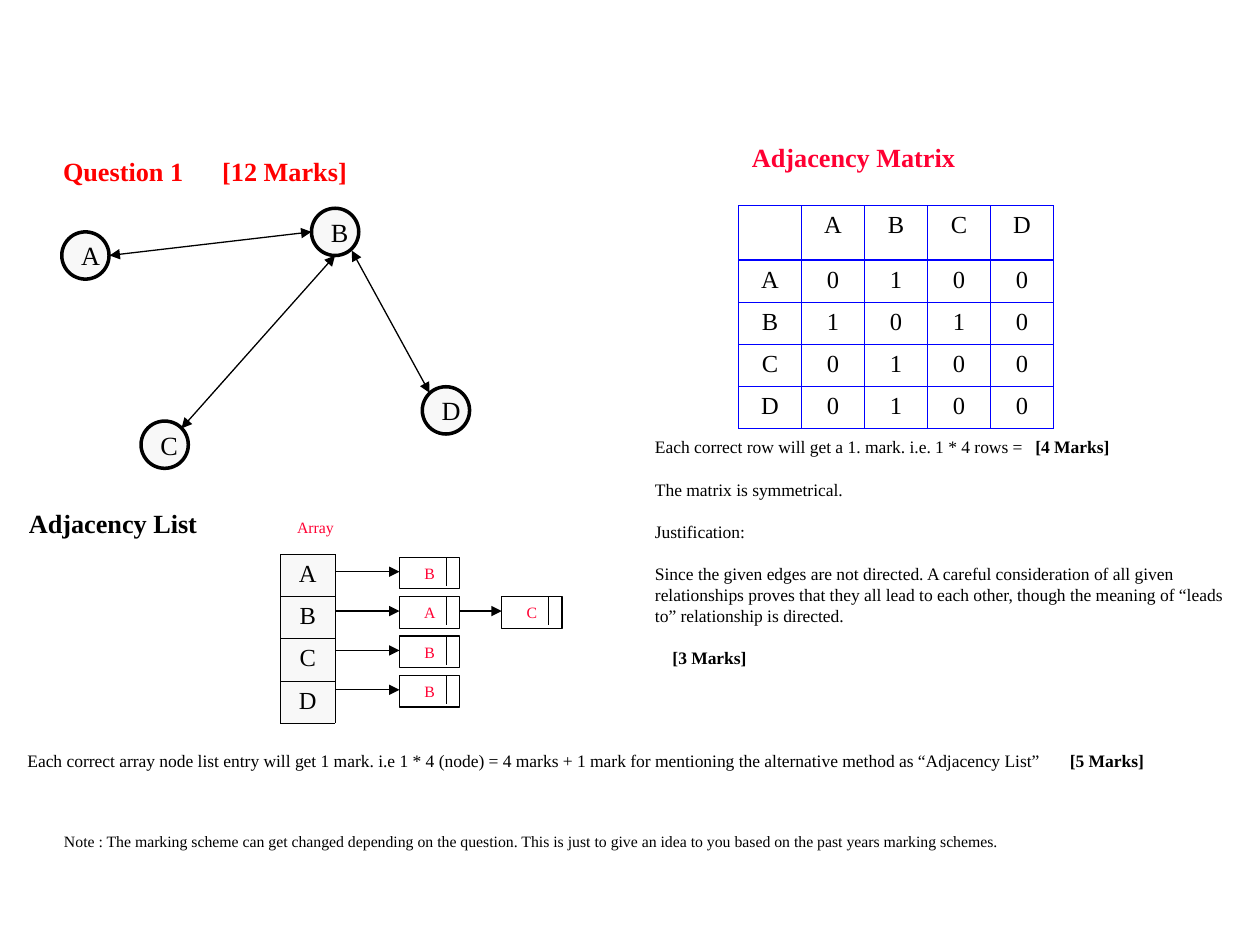
from dataclasses import dataclass

from lxml.etree import SubElement
from pptx import Presentation
from pptx.dml.color import RGBColor
from pptx.enum.shapes import MSO_CONNECTOR, MSO_SHAPE
from pptx.enum.text import MSO_ANCHOR, MSO_AUTO_SIZE, PP_ALIGN
from pptx.oxml.ns import qn
from pptx.util import Pt


@dataclass(frozen=True)
class Theme:
    font: str = "Times New Roman"
    ink: RGBColor = RGBColor(0, 0, 0)
    title: RGBColor = RGBColor(0xFF, 0, 0)
    accent: RGBColor = RGBColor(0xFF, 0, 0x33)
    grid: RGBColor = RGBColor(0, 0, 0xFF)
    pale: RGBColor = RGBColor(0xF8, 0xF8, 0xF8)
    heading: int = 15
    cell: int = 14
    body: int = 10
    small: int = 9


theme = Theme()
deck = Presentation()
deck.slide_width, deck.slide_height = Pt(720), Pt(540)
slide = deck.slides.add_slide(deck.slide_layouts[5])
shapes = slide.shapes


def write(para, text, size, color=theme.ink, bold=False, align=PP_ALIGN.LEFT, tab=None, marks=""):
    para.alignment = align
    if tab:
        stops = SubElement(para._p.get_or_add_pPr(), qn("a:tabLst"))
        SubElement(stops, qn("a:tab"), pos=str(Pt(tab)), algn="l")
    para.font.name = theme.font
    para.font.size = Pt(size)
    para.font.bold = bold
    para.font.color.rgb = color
    if text:
        para.add_run().text = text
    if marks:
        span = para.add_run()
        span.text = marks
        span.font.bold = True


def add_line(start_x, start_y, end_x, end_y, ends=()):
    line = shapes.add_connector(
        MSO_CONNECTOR.STRAIGHT, Pt(start_x), Pt(start_y), Pt(end_x), Pt(end_y))
    line.line.color.rgb = theme.ink
    line.line.width = Pt(0.75)
    for end in ends:
        SubElement(line.line._get_or_add_ln(), qn(f"a:{end}"), type="triangle")
    SubElement(line._element.spPr, qn("a:effectLst"))


title = shapes.title
title.left, title.top, title.width, title.height = Pt(28.8), Pt(85), Pt(180), Pt(25)
title.text_frame.auto_size = MSO_AUTO_SIZE.NONE
title.text_frame.vertical_anchor = MSO_ANCHOR.TOP
write(title.text_frame.paragraphs[0], "Question 1\t[12 Marks]", theme.heading,
      theme.title, bold=True, tab=91)

for label, left, top in [("A", 35.3, 132.5), ("B", 178, 119), ("C", 80.6, 240.6), ("D", 241.3, 221)]:
    node = shapes.add_shape(MSO_SHAPE.FLOWCHART_CONNECTOR, Pt(left), Pt(top), Pt(27), Pt(27))
    node.shadow.inherit = False
    node.fill.solid()
    node.fill.fore_color.rgb = theme.pale
    node.line.color.rgb = theme.ink
    node.line.width = Pt(2)
    node.text_frame.vertical_anchor = MSO_ANCHOR.MIDDLE
    write(node.text_frame.paragraphs[0], label, theme.heading, align=PP_ALIGN.CENTER)

for edge in [(62.6, 146, 178, 132.5), (201, 143.2, 245.5, 224.5), (103.7, 244.8, 191.5, 146)]:
    add_line(*edge, ends=("headEnd", "tailEnd"))

matrix = [["", "A", "B", "C", "D"],
          ["A", "0", "1", "0", "0"],
          ["B", "1", "0", "1", "0"],
          ["C", "0", "1", "0", "0"],
          ["D", "0", "1", "0", "0"]]
array = [["A"], ["B"], ["C"], ["D"]]
tables = [(matrix, 422, 117.4, 36, 31.2, theme.grid, None, 1.47),
          (array, 160.3, 316.8, 31.2, 24.1, theme.ink, theme.pale, 0.45)]
for values, left, top, column_width, first_height, border, fill, header_rule in tables:
    frame = shapes.add_table(len(values), len(values[0]), Pt(left), Pt(top),
                             Pt(column_width * len(values[0])),
                             Pt(first_height + 24.1 * (len(values) - 1)))
    table = frame.table
    table.first_row = table.horz_banding = False
    for column in table.columns:
        column.width = Pt(column_width)
    for row_index, row in enumerate(table.rows):
        row.height = Pt(24.1 if row_index else first_height)
        for cell, value in zip(row.cells, values[row_index]):
            cell.margin_left = cell.margin_right = Pt(5.5)
            cell.margin_top = cell.margin_bottom = Pt(3.6)
            write(cell.text_frame.paragraphs[0], value, theme.cell, align=PP_ALIGN.CENTER)
            for side in ("lnL", "lnR", "lnT", "lnB"):
                heavy = (row_index, side) in ((0, "lnB"), (1, "lnT"))
                rule = SubElement(cell._tc.get_or_add_tcPr(), qn(f"a:{side}"),
                                  w=str(Pt(header_rule if heavy else 0.45)))
                SubElement(SubElement(rule, qn("a:solidFill")), qn("a:srgbClr"), val=str(border))
            if fill:
                cell.fill.solid()
                cell.fill.fore_color.rgb = fill
            else:
                cell.fill.background()

for row_index, chain in enumerate(["B", "AC", "B", "B"]):
    top = 318.5 + 22.5 * row_index
    arrow_start = 191.5
    for label, left in zip(chain, (228.3, 286.7)):
        box = shapes.add_shape(MSO_SHAPE.RECTANGLE, Pt(left), Pt(top), Pt(34.5), Pt(18))
        box.shadow.inherit = False
        box.fill.background()
        box.line.color.rgb = theme.ink
        box.line.width = Pt(0.75)
        box.text_frame.vertical_anchor = MSO_ANCHOR.TOP
        write(box.text_frame.paragraphs[0], label, theme.small, theme.accent,
              align=PP_ALIGN.CENTER)
        add_line(left + 26.7, top, left + 26.7, top + 16.4)
        add_line(arrow_start, top + 8.2, left, top + 8.2, ends=("tailEnd",))
        arrow_start = left + 34.5

heading = dict(size=theme.heading, bold=True)
body = dict(size=theme.body)
text_boxes = [
    (422.6, 77, 136, 25, [dict(heading, text="Adjacency Matrix", color=theme.accent)]),
    (9.4, 286.5, 116, 25, [dict(heading, text="Adjacency List")]),
    (162.7, 292.3, 42, 18, [dict(text="Array", size=theme.small, color=theme.accent)]),
    (367.2, 245.5, 352.8, 19.4, [
        dict(body, text="Each correct row will get a 1. mark. i.e. 1 * 4 rows =\t",
             tab=217.4, marks="[4 Marks]")]),
    (367.2, 270, 352.8, 116, [
        dict(body, text="The matrix is symmetrical."),
        dict(body, text="Justification:"),
        dict(body, text="Since the given edges are not directed. A careful consideration of all "
             "given relationships proves that they all lead to each other, though the meaning "
             "of “leads to” relationship is directed."),
        dict(body, text="\t", tab=10, marks="[3 Marks]")]),
    (8.6, 424.8, 691.2, 19.4, [
        dict(body, text="Each correct array node list entry will get 1 mark. i.e 1 * 4 (node) = "
             "4 marks + 1 mark for mentioning the alternative method as “Adjacency List”\t",
             tab=595.7, marks="[5 Marks]")]),
    (29.5, 471.6, 690, 18, [
        dict(text="Note : The marking scheme can get changed depending on the question. This is "
             "just to give an idea to you based on the past years marking schemes.",
             size=theme.small)]),
]
for left, top, width, height, paragraphs in text_boxes:
    text_frame = shapes.add_textbox(Pt(left), Pt(top), Pt(width), Pt(height)).text_frame
    text_frame.word_wrap = True
    for index, content in enumerate(paragraphs):
        para = text_frame.add_paragraph() if index else text_frame.paragraphs[0]
        if index:
            para.space_before = Pt(12)
        write(para, **content)

deck.save("out.pptx")
